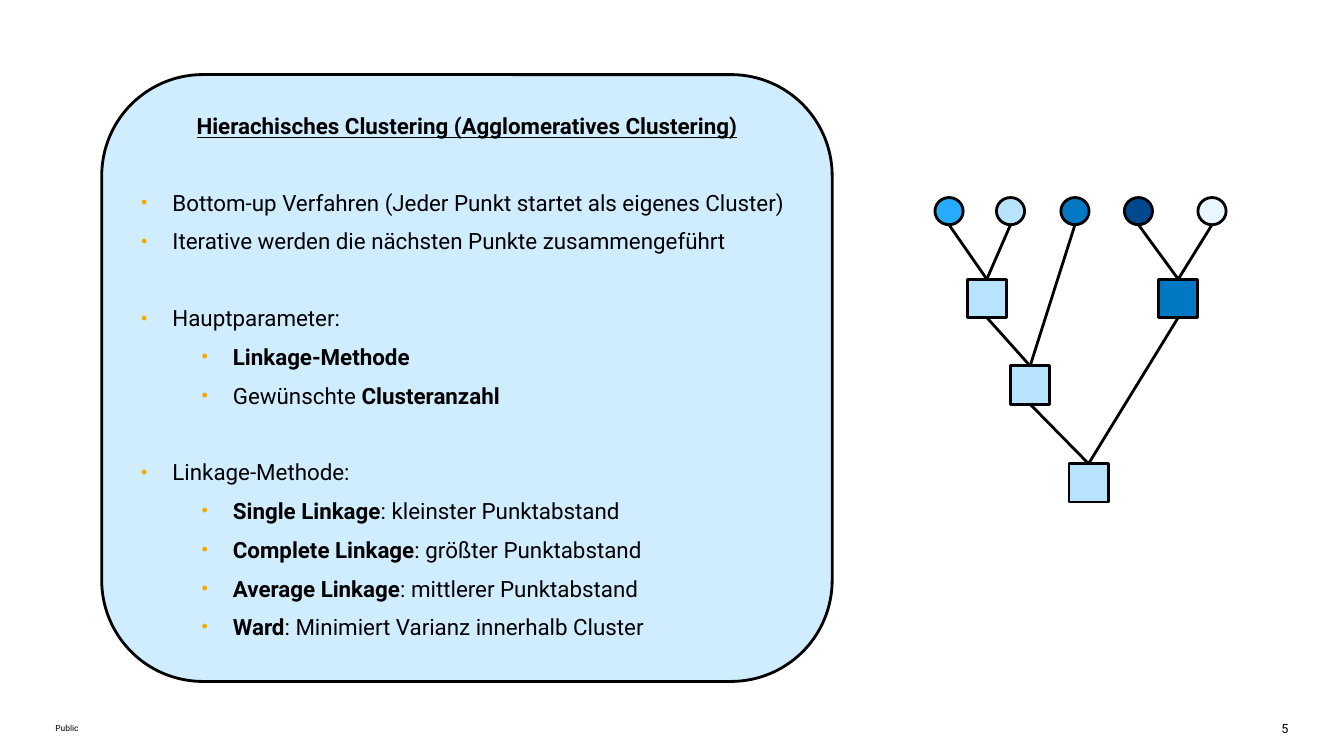
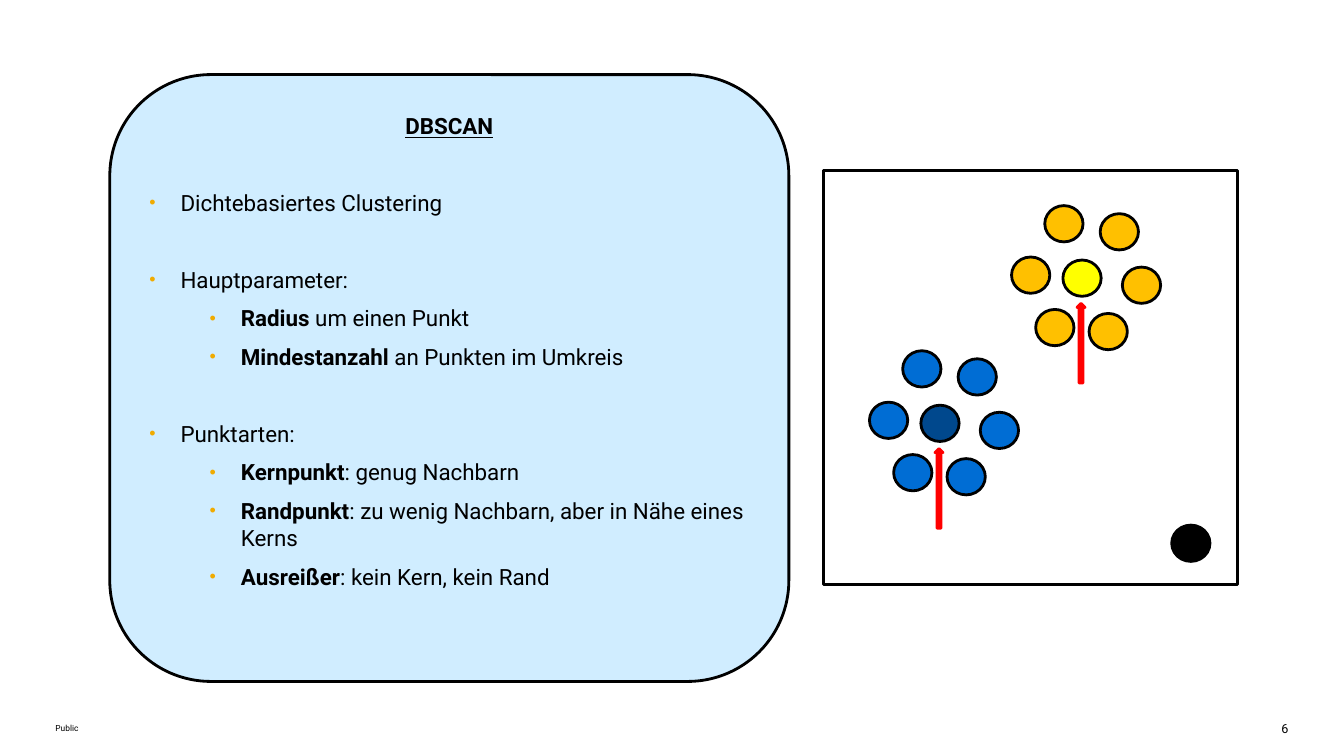
"""Build two slides on hierarchical clustering and DBSCAN."""
from dataclasses import dataclass

from lxml.etree import SubElement as Sub
from pptx import Presentation
from pptx.dml.color import RGBColor as Rgb
from pptx.enum.shapes import MSO_CONNECTOR as Link
from pptx.enum.shapes import MSO_SHAPE as Kind
from pptx.enum.text import MSO_ANCHOR as Anchor
from pptx.enum.text import MSO_AUTO_SIZE as Fit
from pptx.enum.text import PP_ALIGN as Align
from pptx.oxml.ns import qn
from pptx.util import Inches, Pt

FONT = "Roboto"
COLORS = {
    "ink": "000000", "card": "D0EDFF", "bullet": "F0AB00",
    "sky": "27ABFF", "light": "B8E3FF", "mid": "0078C4", "navy": "00488D", "pale": "E7F6FF",
    "gold": "FFC000", "yellow": "FFFF00", "blue": "006DD4", "red": "FF0000",
}
GAP, BREAK = 8.45, 35.65
RING = [(0.26, 0.53), (-0.18, -0.54), (0.59, 0.07), (-0.51, -0.03), (-0.27, 0.49), (0.37, -0.46)]


@dataclass
class Item:
    text: str
    level: int = 0
    gap: float = GAP


@dataclass
class Card:
    title: str
    page: int
    left: float
    width: float
    items: list[Item]


@dataclass
class Dot:
    left: float
    color: str
    goal: str


@dataclass
class Node:
    left: float
    top: float
    color: str
    goal: str = ""


@dataclass
class Group:
    left: float
    top: float
    core: str
    edge: str


TREE = Card("Hierachisches Clustering (Agglomeratives Clustering)", 5, 1.01, 7.25, [
    Item("Bottom-up Verfahren (Jeder Punkt startet als eigenes Cluster)"),
    Item("Iterative werden die nächsten Punkte zusammengeführt"),
    Item("Hauptparameter:", gap=BREAK),
    Item("*Linkage-Methode*", 1),
    Item("Gewünschte *Clusteranzahl*", 1),
    Item("Linkage-Methode:", gap=BREAK),
    Item("*Single Linkage*: kleinster Punktabstand", 1),
    Item("*Complete Linkage*: größter Punktabstand", 1),
    Item("*Average Linkage*: mittlerer Punktabstand", 1),
    Item("*Ward*: Minimiert Varianz innerhalb Cluster", 1),
])
SCAN = Card("DBSCAN", 6, 1.09, 6.74, [
    Item("Dichtebasiertes Clustering"),
    Item("Hauptparameter:", gap=BREAK),
    Item("*Radius* um einen Punkt", 1),
    Item("*Mindestanzahl* an Punkten im Umkreis", 1),
    Item("Punktarten:", gap=BREAK),
    Item("*Kernpunkt*: genug Nachbarn", 1),
    Item("*Randpunkt*: zu wenig Nachbarn, aber in Nähe eines Kerns", 1),
    Item("*Ausreißer*: kein Kern, kein Rand", 1),
])
DOTS = [
    Dot(9.28, "sky", "left"), Dot(9.89, "light", "left"), Dot(10.53, "mid", "inner"),
    Dot(11.16, "navy", "right"), Dot(11.89, "pale", "right"),
]
NODES = {
    "left": Node(9.6, 2.77, "light", "inner"),
    "right": Node(11.5, 2.77, "mid", "root"),
    "inner": Node(10.03, 3.63, "light", "root"),
    "root": Node(10.61, 4.6, "light"),
}
GROUPS = [Group(10.55, 2.58, "yellow", "gold"), Group(9.14, 4.02, "navy", "blue")]


def color(name: str) -> Rgb:
    return Rgb.from_string(COLORS[name])


def box(x: float, y: float, w: float, h: float) -> tuple:
    return Inches(x), Inches(y), Inches(w), Inches(h)


def style(run, size: float, bold: bool = False) -> None:
    font = run.font
    font.name, font.size, font.bold = FONT, Pt(size), bold
    font.color.rgb = color("ink")


def draw(shapes, kind, area: tuple, fill: str = "", line: str = "ink"):
    shape = shapes.add_shape(kind, *box(*area))
    shape.shadow.inherit = False
    if fill:
        shape.fill.solid()
        shape.fill.fore_color.rgb = color(fill)
    else:
        shape.fill.background()
    shape.line.color.rgb = color(line)
    shape.line.width = Pt(2)
    return shape


def join(shapes, start: tuple, goal, source=None) -> None:
    line = shapes.add_connector(Link.STRAIGHT, *start, *start)
    if source is not None:
        line.begin_connect(source, 2)
    line.end_connect(goal, 0)
    line.line.color.rgb = color("ink")
    line.line.width = Pt(2)
    Sub(line.element.spPr, qn("a:effectLst"))


def note(slide, text: str, area: tuple, size: float, align) -> None:
    frame = slide.shapes.add_textbox(*box(*area)).text_frame
    frame.margin_left = frame.margin_right = frame.margin_top = frame.margin_bottom = 0
    frame.vertical_anchor = Anchor.MIDDLE
    frame.text = text
    para = frame.paragraphs[0]
    para.alignment = align
    style(para.runs[0], size)


def fill_item(para, item: Item, first: bool) -> None:
    props = para._p.get_or_add_pPr()
    props.set("marL", str(Inches(0.91 if item.level else 0.31)))
    props.set("indent", str(Inches(-0.31)))
    tint = Sub(Sub(props, qn("a:buClr")), qn("a:srgbClr"))
    tint.set("val", COLORS["bullet"])
    Sub(props, qn("a:buSzPct")).set("val", "80000")
    Sub(props, qn("a:buFont")).set("typeface", "Arial")
    Sub(props, qn("a:buChar")).set("char", "•")
    para.level = item.level
    para.alignment = Align.LEFT
    if not first:
        para.space_before = Pt(item.gap)
    for pos, part in enumerate(item.text.split("*")):
        if part:
            run = para.add_run()
            run.text = part
            style(run, 16, pos % 2 == 1)


def base(deck, card: Card):
    slide = deck.slides.add_slide(deck.slide_layouts[5])
    panel = draw(slide.shapes, Kind.ROUNDED_RECTANGLE, (card.left, 0.74, card.width, 6.02), "card")
    frame = panel.text_frame
    frame.word_wrap = True
    frame.vertical_anchor = Anchor.TOP
    frame.margin_left = frame.margin_right = Inches(0.1)
    frame.margin_top, frame.margin_bottom = Inches(0.84), Inches(0.08)
    for pos, item in enumerate(card.items):
        para = frame.add_paragraph() if pos else frame.paragraphs[0]
        fill_item(para, item, pos == 0)
    title = slide.shapes.title
    title.left, title.top, title.width, title.height = box(card.left, 1.05, card.width, 0.4)
    head = title.text_frame
    head.text = card.title
    head.auto_size = Fit.NONE
    head.vertical_anchor = Anchor.MIDDLE
    para = head.paragraphs[0]
    para.alignment = Align.CENTER
    style(para.runs[0], 16, True)
    para.runs[0].font.underline = True
    panel.element.addnext(title.element)
    note(slide, "Public", (0.55, 7.15, 11.11, 0.15), 6, Align.LEFT)
    note(slide, str(card.page), (12.59, 7.15, 0.2, 0.15), 9, Align.RIGHT)
    return slide


def add_tree(deck) -> None:
    shapes = base(deck, TREE).shapes
    boxes = {
        name: draw(shapes, Kind.RECTANGLE, (node.left, node.top, 0.39, 0.38), node.color)
        for name, node in NODES.items()
    }
    for dot in DOTS:
        draw(shapes, Kind.OVAL, (dot.left, 1.96, 0.28, 0.27), dot.color)
        join(shapes, (Inches(dot.left + 0.14), Inches(2.23)), boxes[dot.goal])
    for name, node in NODES.items():
        if node.goal:
            join(shapes, (0, 0), boxes[node.goal], boxes[name])


def add_scan(deck) -> None:
    shapes = base(deck, SCAN).shapes
    plot = shapes.add_group_shape().shapes
    draw(plot, Kind.RECTANGLE, (8.17, 1.69, 4.11, 4.11))
    for group in GROUPS:
        x, y = group.left, group.top
        draw(plot, Kind.OVAL, (x, y, 0.38, 0.36), group.core)
        for dx, dy in RING:
            draw(plot, Kind.OVAL, (x + dx, y + dy, 0.38, 0.36), group.edge)
        draw(shapes, Kind.UP_ARROW, (x + 0.14, y + 0.43, 0.08, 0.79), "red", "red")
    draw(shapes, Kind.OVAL, (11.63, 5.21, 0.38, 0.36), "ink")


def main() -> None:
    deck = Presentation()
    deck.slide_width, deck.slide_height = Inches(13.34), Inches(7.5)
    add_tree(deck)
    add_scan(deck)
    deck.save("out.pptx")


if __name__ == "__main__":
    main()
